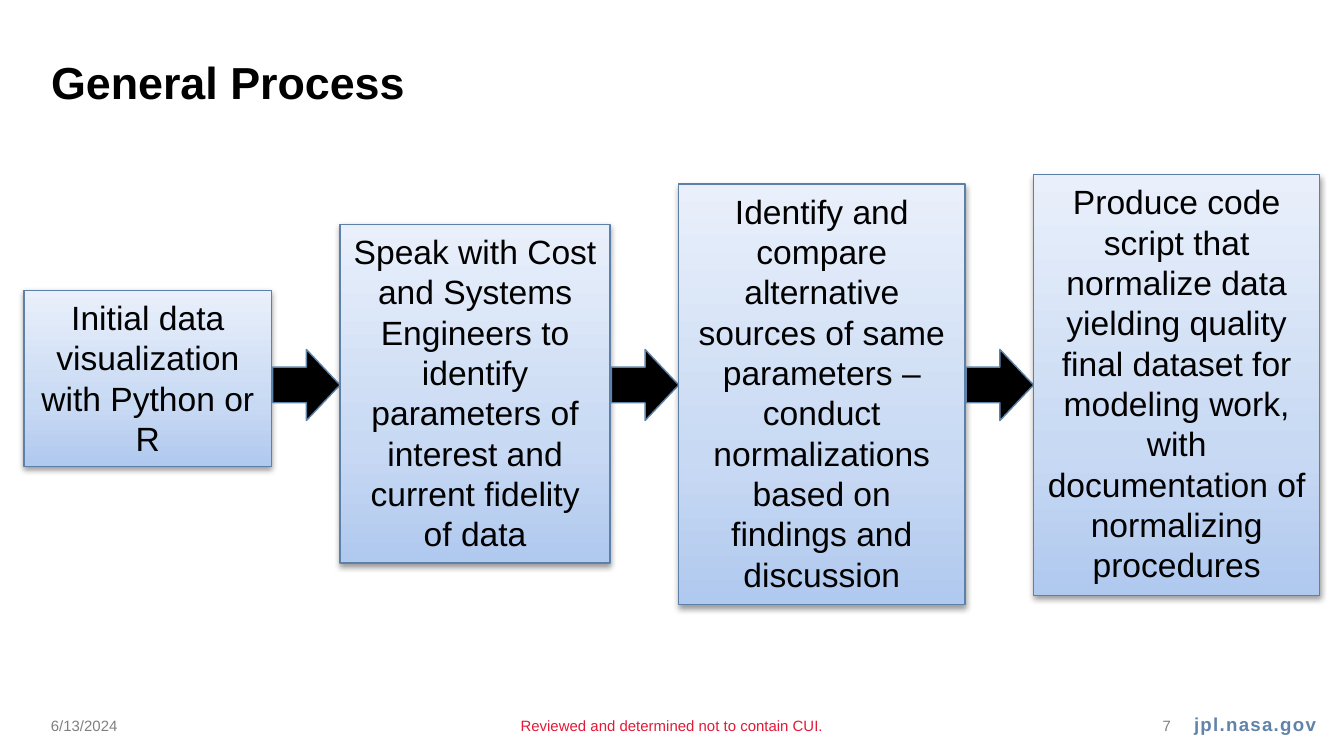
from copy import deepcopy

from lxml.etree import SubElement
from pptx import Presentation
from pptx.dml.color import RGBColor
from pptx.enum.shapes import MSO_SHAPE
from pptx.enum.text import MSO_ANCHOR, MSO_AUTO_SIZE, PP_ALIGN
from pptx.oxml.ns import qn
from pptx.util import Inches, Pt

SLIDE_WIDTH = 10
SLIDE_HEIGHT = SLIDE_WIDTH * 9 / 16
GRADIENT = [(0, "B0C9EF"), (0.35, "C8D9F3"), (1, "E9F0FB")]
STEPS = [
    ("Initial data visualization with Python or R", 2.16, 1.84, 1.31),
    ("Speak with Cost and Systems Engineers to identify parameters of interest "
     "and current fidelity of data", 1.67, 2.01, 2.52),
    ("Identify and compare alternative sources of same parameters – conduct "
     "normalizations based on findings and discussion", 1.37, 2.13, 3.13),
    ("Produce code script that normalize data yielding quality final dataset for "
     "modeling work, with documentation of normalizing procedures", 1.3, 2.13, 3.13),
]
GAP = 0.51
ARROW_TOP, ARROW_WIDTH, ARROW_HEIGHT = 2.6, 0.5, 0.53


def color(value):
    return RGBColor.from_string(value)


def inches(*lengths):
    return [Inches(length) for length in lengths]


def write(shape, text, size, text_color, align=PP_ALIGN.LEFT, anchor=MSO_ANCHOR.TOP, bold=False):
    frame = shape.text_frame
    frame.word_wrap = True
    frame.vertical_anchor = anchor
    paragraph = frame.paragraphs[0]
    paragraph.text = text
    paragraph.alignment = align
    font = paragraph.font
    font.name, font.size, font.bold = "Arial", Pt(size), bold
    font.color.rgb = color(text_color)
    return paragraph


def outline(shape, line_color):
    shape.shadow.inherit = False
    shape.line.color.rgb = color(line_color)
    shape.line.width = Pt(0.75)


def fill_gradient(shape):
    shape.fill.gradient()
    shape.fill.gradient_angle = 90
    stop_list = shape._element.spPr.find(qn("a:gradFill")).find(qn("a:gsLst"))
    stop_list.insert(1, deepcopy(stop_list[0]))
    for stop, (position, stop_color) in zip(shape.fill.gradient_stops, GRADIENT):
        stop.position = position
        stop.color.rgb = color(stop_color)


def add_shadow(shape):
    effects = shape._element.spPr.find(qn("a:effectLst"))
    shadow = SubElement(effects, qn("a:outerShdw"), blurRad=str(Pt(3.1)),
                        dist=str(Pt(1.6)), dir="5400000", rotWithShape="0")
    shade = SubElement(shadow, qn("a:srgbClr"), val="000000")
    SubElement(shade, qn("a:alpha"), val="38000")


def add_step(page, text, left, top, width, height):
    box = page.shapes.add_shape(MSO_SHAPE.RECTANGLE, *inches(left, top, width, height))
    outline(box, "5C80A8")
    fill_gradient(box)
    add_shadow(box)
    write(box, text, 18, "000000", PP_ALIGN.CENTER)
    box.text_frame.auto_size = MSO_AUTO_SIZE.SHAPE_TO_FIT_TEXT


def add_arrow(page, left, top, width, height):
    arrow = page.shapes.add_shape(MSO_SHAPE.RIGHT_ARROW, *inches(left, top, width, height))
    outline(arrow, "6083AA")
    arrow.fill.solid()
    arrow.fill.fore_color.rgb = color("000000")


def add_process(page, left):
    for index, (text, top, width, height) in enumerate(STEPS):
        if index:
            add_arrow(page, left - ARROW_WIDTH, ARROW_TOP, ARROW_WIDTH, ARROW_HEIGHT)
        add_step(page, text, left, top, width, height)
        left += width + GAP


def add_title(page, left, top, width, height):
    title = page.shapes.title
    title.left, title.top, title.width, title.height = inches(left, top, width, height)
    write(title, "General Process", 24, "000000", bold=True)
    title.text_frame.auto_size = MSO_AUTO_SIZE.NONE


def add_footer(page, left, top, height):
    parts = [
        ("6/13/2024", 1.55, "808080", PP_ALIGN.LEFT),
        ("Reviewed and determined not to contain CUI.", 6.34, "E31937", PP_ALIGN.CENTER),
        ("7", 0.64, "808080", PP_ALIGN.RIGHT),
    ]
    for text, width, text_color, align in parts:
        box = page.shapes.add_textbox(*inches(left, top, width, height))
        write(box, text, 8, text_color, align, MSO_ANCHOR.MIDDLE)
        left += width


def add_site_address(page, left, top, width, height):
    box = page.shapes.add_textbox(*inches(left, top, width, height))
    paragraph = write(box, "jpl.nasa.gov", 10, "6083AA", PP_ALIGN.RIGHT,
                      MSO_ANCHOR.MIDDLE, bold=True)
    paragraph.runs[0].font._element.set("spc", "70")


def main():
    deck = Presentation()
    deck.slide_width, deck.slide_height = inches(SLIDE_WIDTH, SLIDE_HEIGHT)
    page = deck.slides.add_slide(deck.slide_layouts[5])
    add_site_address(page, 8.54, 5.16, 1.35, 0.46)
    add_title(page, 0.28, 0.36, 9.31, 0.47)
    add_footer(page, 0.28, 5.25, 0.3)
    add_process(page, 0.18)
    deck.save("out.pptx")


if __name__ == "__main__":
    main()
